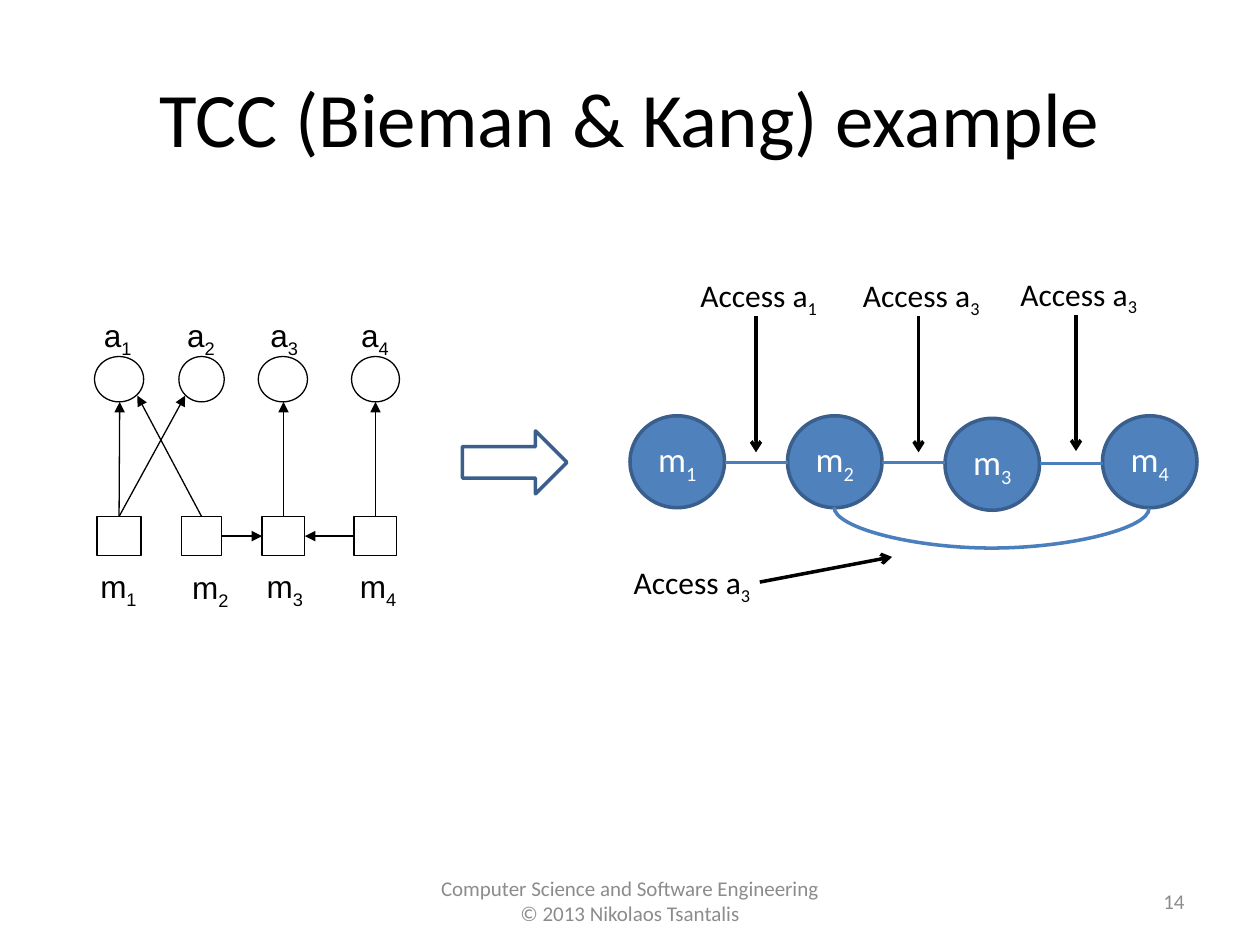
import dataclasses

import pptx
import pptx.dml.color
import pptx.enum.shapes
import pptx.enum.text
import pptx.oxml
import pptx.oxml.ns
import pptx.util

Inches = pptx.util.Inches
Shape = pptx.enum.shapes.MSO_SHAPE
Connector = pptx.enum.shapes.MSO_CONNECTOR
Align = pptx.enum.text.PP_ALIGN
Anchor = pptx.enum.text.MSO_ANCHOR


@dataclasses.dataclass(frozen=True)
class Theme:
    """Colours, fonts and type sizes of the slide."""
    black: str = "000000"
    white: str = "FFFFFF"
    grey: str = "8C8C8C"
    node: str = "4F81BD"
    outline: str = "3A5F8C"
    edge: str = "4B7EBC"
    body_font: str = "Calibri"
    diagram_font: str = "Arial"
    title_size: int = 44
    node_size: int = 20
    label_size: int = 18
    footer_size: int = 12
    thin: float = 0.75
    thick: float = 2


THEME = Theme()


def rgb(color):
    """Turn a hex string into a colour."""
    return pptx.dml.color.RGBColor.from_string(color)


def apply_format(target, values):
    """Set each named attribute on the target."""
    for name, value in values.items():
        setattr(target, name, value)


def write_text(shape, lines, size, color, font=THEME.body_font, align=Align.LEFT,
               margins=None, **frame_format):
    """Fill a shape with lines, each a (text, subscript) pair."""
    frame = shape.text_frame
    apply_format(frame, {"word_wrap": False, **frame_format})
    for side, margin in (margins or {}).items():
        setattr(frame, f"margin_{side}", Inches(margin))
    for index, (text, subscript) in enumerate(lines):
        paragraph = frame.add_paragraph() if index else frame.paragraphs[0]
        paragraph.alignment = align
        for part, baseline in ((text, None), (subscript, "-25000")):
            if not part:
                continue
            run = paragraph.add_run()
            run.text = part
            apply_format(run.font, {"size": pptx.util.Pt(size), "name": font})
            run.font.color.rgb = rgb(color)
            if baseline:
                run.font._element.set("baseline", baseline)


def add_label(slide, box, lines, size=THEME.label_size, color=THEME.black, **text_format):
    """Add a text box."""
    shape = slide.shapes.add_textbox(*map(Inches, box))
    write_text(shape, lines, size, color, **text_format)


def add_outlined(slide, kind, box, fill, line, width):
    """Add a preset shape with an outline and an optional fill."""
    shape = slide.shapes.add_shape(kind, *map(Inches, box))
    shape.shadow.inherit = False
    if fill:
        shape.fill.solid()
        shape.fill.fore_color.rgb = rgb(fill)
    else:
        shape.fill.background()
    shape.line.color.rgb = rgb(line)
    shape.line.width = pptx.util.Pt(width)
    return shape


def add_line(slide, start, end, color, width, head=None, begin=None, finish=None,
             kind=Connector.STRAIGHT):
    """Add a connector, joined to (shape, site) pairs where given."""
    line = slide.shapes.add_connector(kind, *map(Inches, (*start, *end)))
    line.line.color.rgb = rgb(color)
    line.line.width = pptx.util.Pt(width)
    qn = pptx.oxml.ns.qn
    if head:
        tail = line.line._ln.makeelement(qn("a:tailEnd"), {"type": head})
        line.line._ln.append(tail)
    properties = line._element.spPr
    properties.append(properties.makeelement(qn("a:effectLst"), {}))
    if begin:
        line.begin_connect(*begin)
    if finish:
        line.end_connect(*finish)
    return line


def add_curve(slide, left, right, top, depth):
    """Add a curved connector that sags between two points."""
    span, thickness = right - left, 0.01
    curve = add_line(slide, (left, top), (right, top), THEME.edge, THEME.thick,
                     kind=Connector.CURVE)
    apply_format(curve, {
        "left": Inches((left + right - thickness) / 2),
        "top": Inches(top - span / 2),
        "width": Inches(thickness),
        "height": Inches(span),
    })
    properties = curve._element.spPr
    apply_format(properties.xfrm, {"rot": 270.0, "flipH": True})
    qn = pptx.oxml.ns.qn
    guides = properties.find(qn("a:prstGeom")).get_or_add_avLst()
    ratio = round(depth / thickness * 100000)
    guides.append(guides.makeelement(qn("a:gd"), {"name": "adj1", "fmla": f"val {ratio}"}))


def add_access_graph(slide):
    """Draw methods as squares, attributes as circles, and their accesses."""
    label_format = {"font": THEME.diagram_font, "align": Align.CENTER,
                    "margins": {"left": 0.01, "top": 0, "right": 0.01, "bottom": 0.02}}
    columns = [
        (0.77, 0.35, 0.75, 0.39, 0.81, 0.78, 4.5),
        (1.44, 0.32, 1.42, 0.36, 1.47, 1.51, 4.51),
        (2.08, 0.34, 2.05, 0.39, 2.13, 2.1, 4.5),
        (2.81, 0.34, 2.79, 0.38, 2.85, 2.84, 4.5),
    ]
    methods = []
    for number, column in enumerate(columns, 1):
        square, side, circle, diameter, attribute, method, method_top = column
        methods.append(add_outlined(slide, Shape.RECTANGLE, (square, 4.1, side, 0.31),
                                    THEME.white, THEME.black, THEME.thin))
        add_outlined(slide, Shape.OVAL, (circle, 2.83, diameter, 0.36),
                     THEME.white, THEME.black, THEME.thin)
        add_label(slide, (attribute, 2.51, 0.25, 0.32), [("a", str(number))], **label_format)
        add_label(slide, (method, method_top, 0.32, 0.32), [("m", str(number))],
                  **label_format)
    for method, end in ((0, (0.95, 3.19)), (0, (1.47, 3.14)), (1, (1.09, 3.14)),
                        (2, (2.25, 3.19)), (3, (2.98, 3.19))):
        add_line(slide, end, end, THEME.black, THEME.thin, "triangle",
                 begin=(methods[method], 0))
    for method, begin_site, end_site in ((1, 3, 1), (3, 1, 3)):
        add_line(slide, (0, 0), (0, 0), THEME.black, THEME.thin, "triangle",
                 (methods[method], begin_site), (methods[2], end_site))


def add_connection_graph(slide):
    """Draw the connected methods and the attributes that link them."""
    pitch, diameter = 1.25, 0.75
    for index, top in enumerate((3.3, 3.3, 3.32, 3.3)):
        node = add_outlined(slide, Shape.OVAL, (5 + index * pitch, top, diameter, 0.73),
                            THEME.node, THEME.outline, THEME.thick)
        write_text(node, [("m", str(index + 1))], THEME.node_size, THEME.white,
                   align=Align.CENTER, vertical_anchor=Anchor.MIDDLE)
    for index, height in enumerate((3.67, 3.67, 3.68)):
        start = 5 + diameter + index * pitch
        add_line(slide, (start, height), (start + pitch - diameter, height),
                 THEME.edge, THEME.thick)
    add_curve(slide, 6.62, 9.12, 4.03, 0.33)
    for left, top, attribute, start, end in (
        (5.46, 2.14, "1", (6, 2.51), (6, 3.59)),
        (6.75, 2.14, "3", (7.29, 2.51), (7.29, 3.59)),
        (8, 2.13, "3", (8.54, 2.5), (8.54, 3.58)),
        (4.93, 4.42, "3", (6.03, 4.62), (7.08, 4.42)),
    ):
        add_line(slide, start, end, THEME.black, THEME.thick, "arrow")
        add_label(slide, (left, top, 1.15, 0.4), [("Access a", attribute)])


def main():
    """Build and save the slide."""
    presentation = pptx.Presentation()
    apply_format(presentation, {"slide_width": Inches(10), "slide_height": Inches(7.5)})
    slide = presentation.slides.add_slide(presentation.slide_layouts[5])
    title = slide.shapes.title
    apply_format(title, {"left": Inches(0.5), "top": Inches(0.3),
                         "width": Inches(9), "height": Inches(1.25)})
    write_text(title, [("TCC (Bieman & Kang) example", "")], THEME.title_size, THEME.black,
               align=Align.CENTER, word_wrap=True, vertical_anchor=Anchor.MIDDLE)
    add_access_graph(slide)
    add_outlined(slide, Shape.RIGHT_ARROW, (3.67, 3.42, 0.83, 0.5),
                 None, THEME.outline, THEME.thick)
    add_connection_graph(slide)
    footer = {"size": THEME.footer_size, "color": THEME.grey,
              "word_wrap": True, "vertical_anchor": Anchor.MIDDLE}
    add_label(slide, (0, 6.95, 10, 0.4),
              [("Computer Science and Software Engineering", ""),
               ("© 2013 Nikolaos Tsantalis", "")], align=Align.CENTER, **footer)
    add_label(slide, (7.17, 6.95, 2.33, 0.4), [("14", "")], align=Align.RIGHT, **footer)
    presentation.save("out.pptx")


if __name__ == "__main__":
    main()
